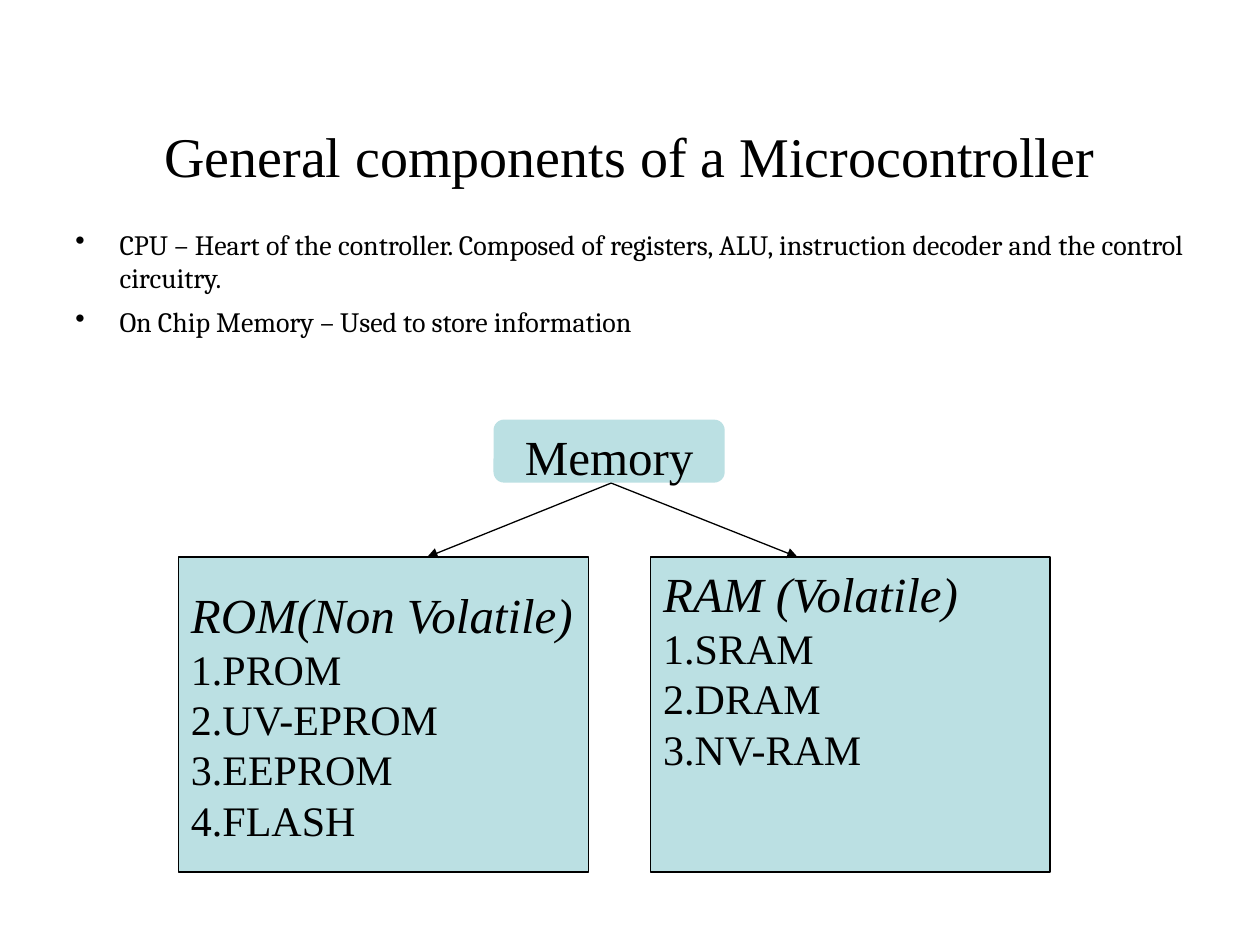
import pptx
import pptx.util
import pptx.dml.color
import pptx.enum.shapes
import pptx.enum.text
import pptx.oxml.ns
from lxml import etree

Cm, Pt = pptx.util.Cm, pptx.util.Pt
SHAPE = pptx.enum.shapes.MSO_SHAPE
ALIGN = pptx.enum.text.PP_ALIGN
ANCHOR = pptx.enum.text.MSO_ANCHOR
qn = pptx.oxml.ns.qn

# Content
TITLE = "General components of a Microcontroller"
BULLETS = [
    "CPU – Heart of the controller. Composed of registers, ALU, "
    "instruction decoder and the control circuitry.",
    "On Chip Memory – Used to store information",
]
ROOT = "Memory"
# heading, items, left and width in cm, anchor, arrow start x and end x in cm
BRANCHES = [
    ("ROM(Non Volatile)", ["PROM", "UV-EPROM", "EEPROM", "FLASH"],
     3.6, 8.26, ANCHOR.MIDDLE, 12.34, 8.61),
    ("RAM (Volatile)", ["SRAM", "DRAM", "NV-RAM"],
     13.12, 8.05, ANCHOR.TOP, 12.3, 16.08),
]

THEME = {
    "ink": pptx.dml.color.RGBColor(0x00, 0x00, 0x00),
    "box": pptx.dml.color.RGBColor(0xBB, 0xE0, 0xE3),
    "serif": "Times New Roman", "body": "Cambria",
    "title": 32, "bullet": 16, "heading": 28, "item": 24,
    "line": 0.75,
}
BRANCH_TOP, BRANCH_HEIGHT = 11.23, 6.35
ROOT_TOP, ROOT_HEIGHT = 8.46, 1.27


def style(p, size, font="serif", align=ALIGN.LEFT, italic=False):
    p.alignment = align
    for r in p.runs:
        r.font.name = THEME[font]
        r.font.size = Pt(THEME[size])
        r.font.italic = italic
        r.font.color.rgb = THEME["ink"]


def set_frame(tf, anchor, top=0.13, right=0.25, bottom=0.13):
    tf.word_wrap = True
    tf.vertical_anchor = anchor
    tf.margin_left, tf.margin_right = Cm(0.25), Cm(right)
    tf.margin_top, tf.margin_bottom = Cm(top), Cm(bottom)


def add_text(s, left, top, width, height, anchor, text):
    tf = s.shapes.add_textbox(Cm(left), Cm(top), Cm(width), Cm(height)).text_frame
    set_frame(tf, anchor)
    tf.text = text
    return tf


def add_box(s, kind, left, top, width, height):
    sp = s.shapes.add_shape(kind, Cm(left), Cm(top), Cm(width), Cm(height))
    sp.shadow.inherit = False
    sp.fill.solid()
    sp.fill.fore_color.rgb = THEME["box"]
    return sp


def set_line(sp):
    sp.line.color.rgb = THEME["ink"]
    sp.line.width = Pt(THEME["line"])


def add_bullet(p):
    pPr = p._p.get_or_add_pPr()
    pPr.set("marL", str(Cm(0.89)))
    pPr.set("indent", str(-Cm(0.89)))
    etree.SubElement(pPr, qn("a:buChar")).set("char", "•")


def add_arrow(s, x1, y1, x2, y2):
    cx = s.shapes.add_connector(pptx.enum.shapes.MSO_CONNECTOR.STRAIGHT,
                                Cm(x1), Cm(y1), Cm(x2), Cm(y2))
    set_line(cx)
    etree.SubElement(cx.line._get_or_add_ln(), qn("a:tailEnd")).set("type", "triangle")
    etree.SubElement(cx._element.spPr, qn("a:effectLst"))


def main():
    prs = pptx.Presentation()
    prs.slide_width, prs.slide_height = Cm(25.4), Cm(19.05)
    s = prs.slides.add_slide(prs.slide_layouts[6])

    # Title
    tf = add_text(s, 1.27, 2.31, 22.86, 1.63, ANCHOR.MIDDLE, TITLE)
    style(tf.paragraphs[0], "title", align=ALIGN.CENTER)

    # Bulleted text
    tf = add_text(s, 1.27, 4.45, 22.86, 12.57, ANCHOR.TOP, "\n".join(BULLETS))
    for i, p in enumerate(tf.paragraphs):
        add_bullet(p)
        p.space_before = Pt(6 if i else 0)
        style(p, "bullet", "body", ALIGN.JUSTIFY)

    # Memory types, each with its arrow
    for heading, items, left, width, anchor, start, end in BRANCHES:
        sp = add_box(s, SHAPE.RECTANGLE, left, BRANCH_TOP, width, BRANCH_HEIGHT)
        set_line(sp)
        tf = sp.text_frame
        set_frame(tf, anchor, right=0)
        numbered = [f"{n}.{item}" for n, item in enumerate(items, 1)]
        tf.text = "\n".join([heading] + numbered)
        for i, p in enumerate(tf.paragraphs):
            style(p, "item" if i else "heading", italic=i == 0)
        add_arrow(s, start, ROOT_TOP + ROOT_HEIGHT, end, BRANCH_TOP)

    # Root of the tree
    sp = add_box(s, SHAPE.ROUNDED_RECTANGLE, 9.95, ROOT_TOP, 4.66, ROOT_HEIGHT)
    sp.line.fill.background()
    set_frame(sp.text_frame, ANCHOR.MIDDLE, top=0.18, bottom=0)
    sp.text_frame.text = ROOT
    style(sp.text_frame.paragraphs[0], "heading", align=ALIGN.CENTER)

    prs.save("out.pptx")


if __name__ == "__main__":
    main()
